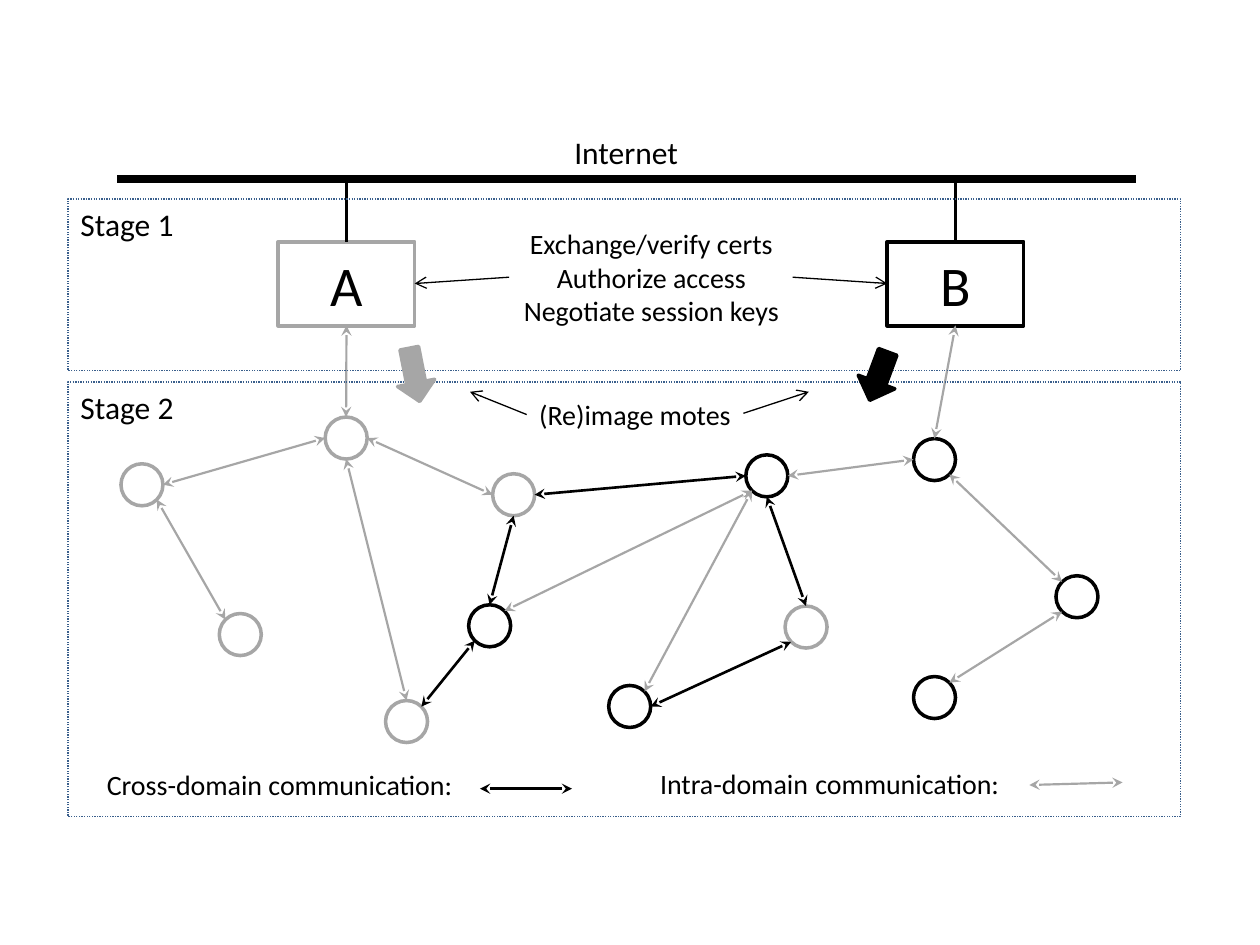
import pptx
import pptx.util
import pptx.dml.color
import pptx.enum.dml
import pptx.enum.shapes
import pptx.enum.text
import pptx.oxml.ns
from lxml import etree

Pt = pptx.util.Pt
RGBColor = pptx.dml.color.RGBColor
SHAPE = pptx.enum.shapes.MSO_SHAPE
ALIGN = pptx.enum.text.PP_ALIGN
BLACK = RGBColor(0, 0, 0)
GREY = RGBColor(0xA6, 0xA6, 0xA6)
WHITE = RGBColor(0xFF, 0xFF, 0xFF)
BLUE = RGBColor(0x3A, 0x5F, 0x8C)
FONT = "Calibri"
RADIUS = 12
DIAGONAL = 8.5

NODES = {
    "A1": (293.5, 282.7), "A2": (81.1, 277), "A3": (232.3, 412.3),
    "A4": (197.8, 250.3), "A5": (137.3, 362.6), "A6": (460.6, 358.3),
    "B1": (279.8, 357.6), "B2": (534, 398.6), "B3": (438.2, 271.9),
    "B4": (534, 262.6), "B5": (359.8, 403.7), "B6": (615.4, 341),
}
SITES = {
    "N": (0, -RADIUS), "S": (0, RADIUS), "E": (RADIUS, 0), "W": (-RADIUS, 0),
    "NE": (DIAGONAL, -DIAGONAL), "NW": (-DIAGONAL, -DIAGONAL),
    "SE": (DIAGONAL, DIAGONAL), "SW": (-DIAGONAL, DIAGONAL),
}
INTRA_LINKS = [
    ("A4", "S", "A3", "N"), ("A2", "SE", "A5", "NW"), ("A4", "E", "A1", "W"),
    ("A4", "W", "A2", "E"), ("B4", "W", "B3", "E"), ("B3", "SW", "B5", "NE"),
    ("B3", "SW", "B1", "NE"), ("B6", "SW", "B2", "NE"), ("B4", "SE", "B6", "NW"),
]
CROSS_LINKS = [
    ("B5", "E", "A6", "SW"), ("B1", "SW", "A3", "NE"), ("B3", "S", "A6", "N"),
    ("A1", "E", "B3", "W"), ("B1", "N", "A1", "S"),
]


def add_text(tf, lines, align=ALIGN.LEFT):
    for i, runs in enumerate(lines):
        p = tf.paragraphs[0] if i == 0 else tf.add_paragraph()
        p.alignment = align
        for text, size in runs:
            r = p.add_run()
            r.text = text
            r.font.size = Pt(size)
            r.font.name = FONT
            r.font.color.rgb = BLACK


def add_label(s, box, lines, align=ALIGN.LEFT):
    tf = s.shapes.add_textbox(*map(Pt, box)).text_frame
    tf.word_wrap = False
    tf.auto_size = pptx.enum.text.MSO_AUTO_SIZE.SHAPE_TO_FIT_TEXT
    add_text(tf, lines, align)


def add_figure(s, kind, box, color, fill=None, width=2):
    sp = s.shapes.add_shape(kind, *map(Pt, box))
    sp.shadow.inherit = False
    if fill is None:
        sp.fill.background()
    else:
        sp.fill.solid()
        sp.fill.fore_color.rgb = fill
    sp.line.color.rgb = color
    sp.line.width = Pt(width)
    return sp


def add_line(s, start, end, color, width, head=None, tail=None):
    line = s.shapes.add_connector(
        pptx.enum.shapes.MSO_CONNECTOR.STRAIGHT, *map(Pt, (*start, *end)))
    line.line.color.rgb = color
    line.line.width = Pt(width)
    qn = pptx.oxml.ns.qn
    ln = line.line._get_or_add_ln()
    for tag, kind in (("a:headEnd", head), ("a:tailEnd", tail)):
        if kind:
            etree.SubElement(ln, qn(tag), type=kind)
    etree.SubElement(line._element.spPr, qn("a:effectLst"))


def add_two_way(s, start, end, color, width):
    add_line(s, start, end, color, width, "stealth", "stealth")


def site(node, side):
    (x, y), (dx, dy) = NODES[node], SITES[side]
    return x + dx, y + dy


def add_domain(s, name, left, color):
    sp = add_figure(s, SHAPE.RECTANGLE, (left, 138.2, 78, 48), color, WHITE)
    tf = sp.text_frame
    tf.vertical_anchor = pptx.enum.text.MSO_ANCHOR.MIDDLE
    add_text(tf, [[(name, 32)]], ALIGN.CENTER)
    add_line(s, (left + 39, 138.2), (left + 39, 102.5), BLACK, 1.5)


def add_stage(s, name, top, height):
    sp = add_figure(s, SHAPE.RECTANGLE, (38.9, top, 635.8, height), BLUE, width=0.75)
    sp.line.dash_style = pptx.enum.dml.MSO_LINE.ROUND_DOT
    add_label(s, (38.9, top, 68.4, 28.8), [[(name, 18)]])


def add_network(s):
    for name, (x, y) in NODES.items():
        color = GREY if name.startswith("A") else BLACK
        box = (x - RADIUS, y - RADIUS, 2 * RADIUS, 2 * RADIUS)
        add_figure(s, SHAPE.OVAL, box, color, WHITE)
    for links, color, width in ((INTRA_LINKS, GREY, 1.25), (CROSS_LINKS, BLACK, 1.5)):
        for a, a_side, b, b_side in links:
            add_two_way(s, site(a, a_side), site(b, b_side), color, width)
    for x, node in ((198, "A4"), (546, "B4")):
        add_two_way(s, (x, 186), site(node, "N"), GREY, 1.25)


def main():
    prs = pptx.Presentation()
    prs.slide_width, prs.slide_height = Pt(720), Pt(540)
    s = prs.slides.add_slide(prs.slide_layouts[6])

    add_line(s, (67, 102.5), (649.4, 102.5), BLACK, 4.5)
    add_label(s, (321.1, 72.7, 74.2, 28.8), [[("Internet", 18)]])
    add_domain(s, "A", 159, GREY)
    add_domain(s, "B", 507, BLACK)
    add_network(s)
    add_stage(s, "Stage 2", 218.2, 248.4)
    add_stage(s, "Stage 1", 113.8, 97.9)

    steps = ["Exchange/verify certs", "Authorize access", "Negotiate session keys"]
    add_label(s, (290.9, 126, 162.7, 65.5), [[(step, 16)] for step in steps], ALIGN.CENTER)
    add_label(s, (301, 223.9, 125.3, 26.6), [[("(Re)image motes", 16)]])
    for start, end in (((290.9, 158.4), (237, 162)), ((452.9, 158.4), (507, 162)),
                       ((424.8, 236.2), (462.2, 223.9)), ((301, 236.9), (268.6, 223.9))):
        add_line(s, start, end, BLACK, 0.75, tail="arrow")

    for box, angle, color in (((491, 200.2, 22.3, 29.5), 20.4, BLACK),
                              ((226.1, 198.7, 21.6, 31), 348.9, GREY)):
        add_figure(s, SHAPE.DOWN_ARROW, box, color, color).rotation = angle

    add_label(s, (54, 434.9, 218.2, 26.6), [[("Cross-domain communication:", 16)]])
    add_label(s, (370.1, 432.7, 210.2, 28.8),
              [[("Intra-domain", 16), (" ", 18), ("communication:", 16)]])
    add_two_way(s, (274.3, 450.7), (326.9, 450.7), BLACK, 1.5)
    add_two_way(s, (641.5, 447.1), (588.2, 448.6), GREY, 1.25)
    prs.save("out.pptx")


main()
